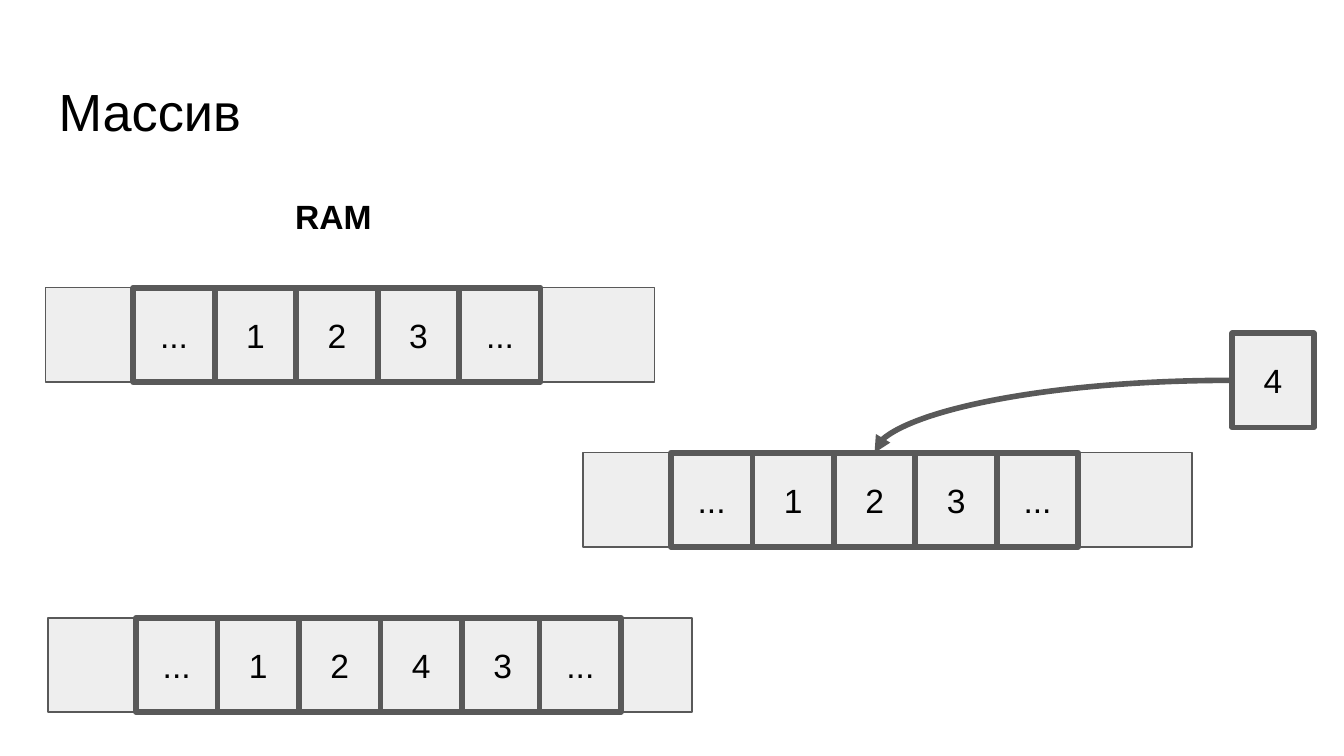
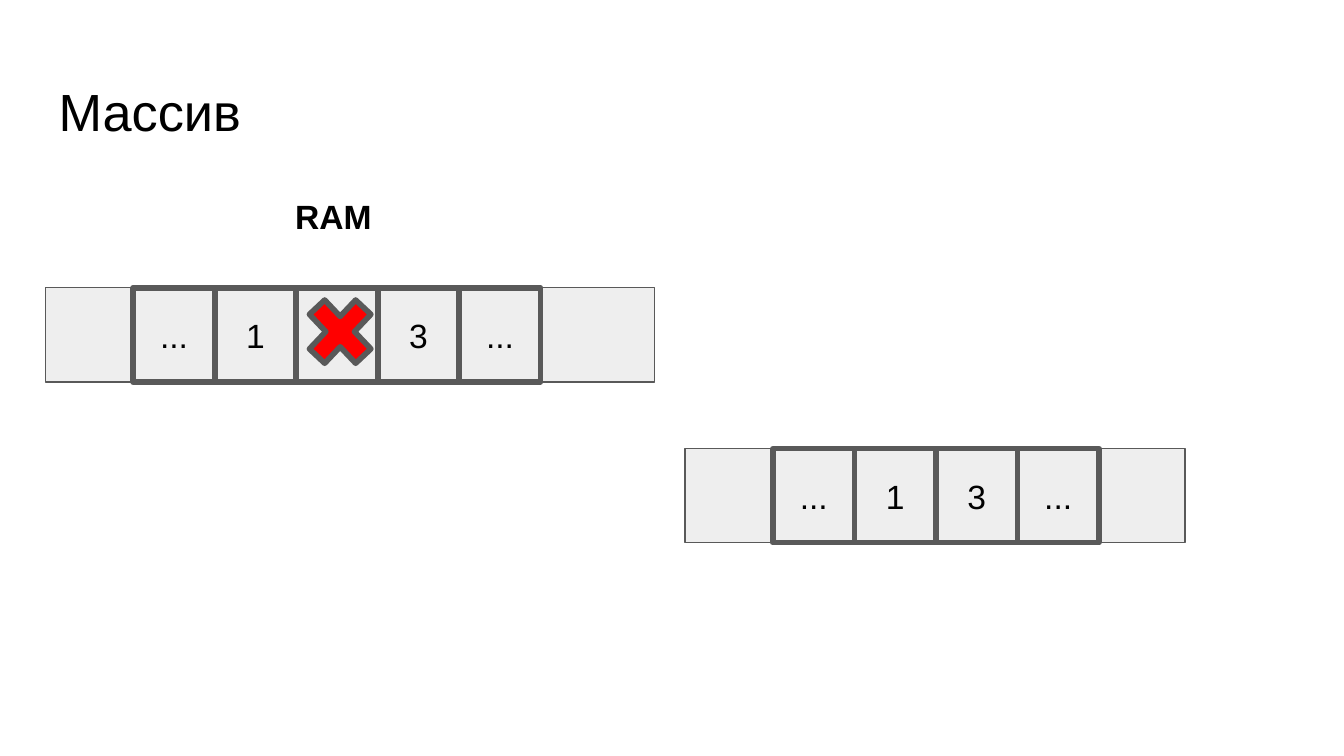
from dataclasses import dataclass
from pptx import Presentation
from pptx.dml.color import RGBColor
from pptx.enum.shapes import MSO_CONNECTOR as Link, MSO_SHAPE as Preset
from pptx.enum.text import MSO_ANCHOR as Anchor, MSO_AUTO_SIZE as Fit, PP_ALIGN as Align
from pptx.oxml.ns import qn
from pptx.oxml.xmlchemy import OxmlElement
from pptx.shapes.autoshape import Shape
from pptx.slide import Slide
from pptx.text.text import TextFrame
from pptx.util import Cm, Pt

BLACK, GRAY, PALE, RED = "000000", "595959", "EEEEEE", "FF0000"
THIN, THICK = 0.75, 3
CELL_WIDTH, CELL_HEIGHT = 1.54, 1.78
LEAD = 1.66
FRAME = {
    "margin_left": Cm(0.25), "margin_top": Cm(0.25),
    "margin_right": Cm(0.25), "margin_bottom": Cm(0.25),
    "word_wrap": True,
}
CELL_FRAME = FRAME | {"vertical_anchor": Anchor.MIDDLE}
LABEL_FRAME = FRAME | {"auto_size": Fit.SHAPE_TO_FIT_TEXT}
BODY_FONT = {"name": "Arial", "size": Pt(18), "bold": False}
TITLE_FONT = BODY_FONT | {"size": Pt(28)}
LABEL_FONT = BODY_FONT | {"bold": True}


@dataclass(frozen=True)
class Box:
    left: float
    top: float
    width: float = CELL_WIDTH
    height: float = CELL_HEIGHT

    def lengths(self) -> tuple[Cm, Cm, Cm, Cm]:
        return Cm(self.left), Cm(self.top), Cm(self.width), Cm(self.height)


@dataclass(frozen=True)
class Memory:
    box: Box
    values: tuple[str, ...]
    last_overlap: float = 0


TITLE_BOX = Box(0.86, 1.24, 23.67, 1.6)
LABEL_BOX = Box(5.33, 3.45, 2.69, 1.27)
SOURCE = Memory(Box(0.86, 5.44, 11.51), ("...", "1", "2", "3", "..."))
MOVED = Memory(Box(11.02, 8.56, 11.51), SOURCE.values)
INSERTED = Memory(Box(0.91, 11.68, 12.17), ("...", "1", "2", "4", "3", "..."), 0.07)
REMOVED = Memory(Box(12.95, 8.48, 9.45), ("...", "1", "3", "..."))
NEW_CELL = Box(23.29, 6.3)
CROSS = Box(5.59, 5.38, 1.68, 1.78)


def color(value: str) -> RGBColor:
    return RGBColor.from_string(value)


def apply(target: object, formats: dict) -> None:
    for name, value in formats.items():
        setattr(target, name, value)


def write(frame: TextFrame, text: str, formats: dict, font: dict, align: Align) -> None:
    apply(frame, formats)
    para = frame.paragraphs[0]
    para.alignment = align
    span = para.add_run()
    span.text = text
    apply(span.font, font)
    span.font.color.rgb = color(BLACK)


def add_text(page: Slide, box: Box, text: str, formats: dict, font: dict) -> None:
    shape = page.shapes.add_textbox(*box.lengths())
    write(shape.text_frame, text, formats, font, Align.LEFT)


def add_block(shapes, box: Box, fill: str = PALE, width: float = THICK,
              preset: Preset = Preset.RECTANGLE) -> Shape:
    shape = shapes.add_shape(preset, *box.lengths())
    shape.shadow.inherit = False
    shape.fill.solid()
    shape.fill.fore_color.rgb = color(fill)
    shape.line.color.rgb = color(GRAY)
    shape.line.width = Pt(width)
    return shape


def add_cell(shapes, box: Box, text: str) -> Shape:
    cell = add_block(shapes, box)
    write(cell.text_frame, text, CELL_FRAME, BODY_FONT, Align.CENTER)
    return cell


def add_memory(page: Slide, memory: Memory) -> list[Shape]:
    shapes = page.shapes.add_group_shape().shapes
    add_block(shapes, memory.box, width=THIN)
    cells = []
    last = len(memory.values) - 1
    for index, value in enumerate(memory.values):
        left = memory.box.left + LEAD + index * CELL_WIDTH
        if index == last:
            left -= memory.last_overlap
        cells.append(add_cell(shapes, Box(left, memory.box.top), value))
    return cells


def add_arrow(page: Slide, start: Shape, end: Shape) -> None:
    arrow = page.shapes.add_connector(Link.CURVE, 0, 0, 0, 0)
    arrow.begin_connect(start, 1)
    arrow.end_connect(end, 0)
    arrow.line.color.rgb = color(GRAY)
    arrow.line.width = Pt(THICK)
    properties = arrow._element.spPr
    properties.find(qn("a:prstGeom")).set("prst", "curvedConnector2")
    head = OxmlElement("a:tailEnd")
    head.set("type", "triangle")
    properties.find(qn("a:ln")).append(head)
    properties.append(OxmlElement("a:effectLst"))


def add_page(deck) -> Slide:
    page = deck.slides.add_slide(deck.slide_layouts[6])
    add_text(page, TITLE_BOX, "Массив", FRAME, TITLE_FONT)
    add_text(page, LABEL_BOX, "RAM", LABEL_FRAME, LABEL_FONT)
    add_memory(page, SOURCE)
    return page


def add_insertion(deck) -> None:
    page = add_page(deck)
    moved = add_memory(page, MOVED)
    new_cell = add_cell(page.shapes, NEW_CELL, "4")
    add_arrow(page, new_cell, moved[2])
    add_memory(page, INSERTED)


def add_removal(deck) -> None:
    page = add_page(deck)
    cross = add_block(page.shapes, CROSS, RED, preset=Preset.MATH_MULTIPLY)
    cross.adjustments[0] = 0.235
    add_memory(page, REMOVED)


def main() -> None:
    deck = Presentation()
    apply(deck, {"slide_width": Cm(25.4), "slide_height": Cm(14.29)})
    add_insertion(deck)
    add_removal(deck)
    deck.save("out.pptx")


if __name__ == "__main__":
    main()
